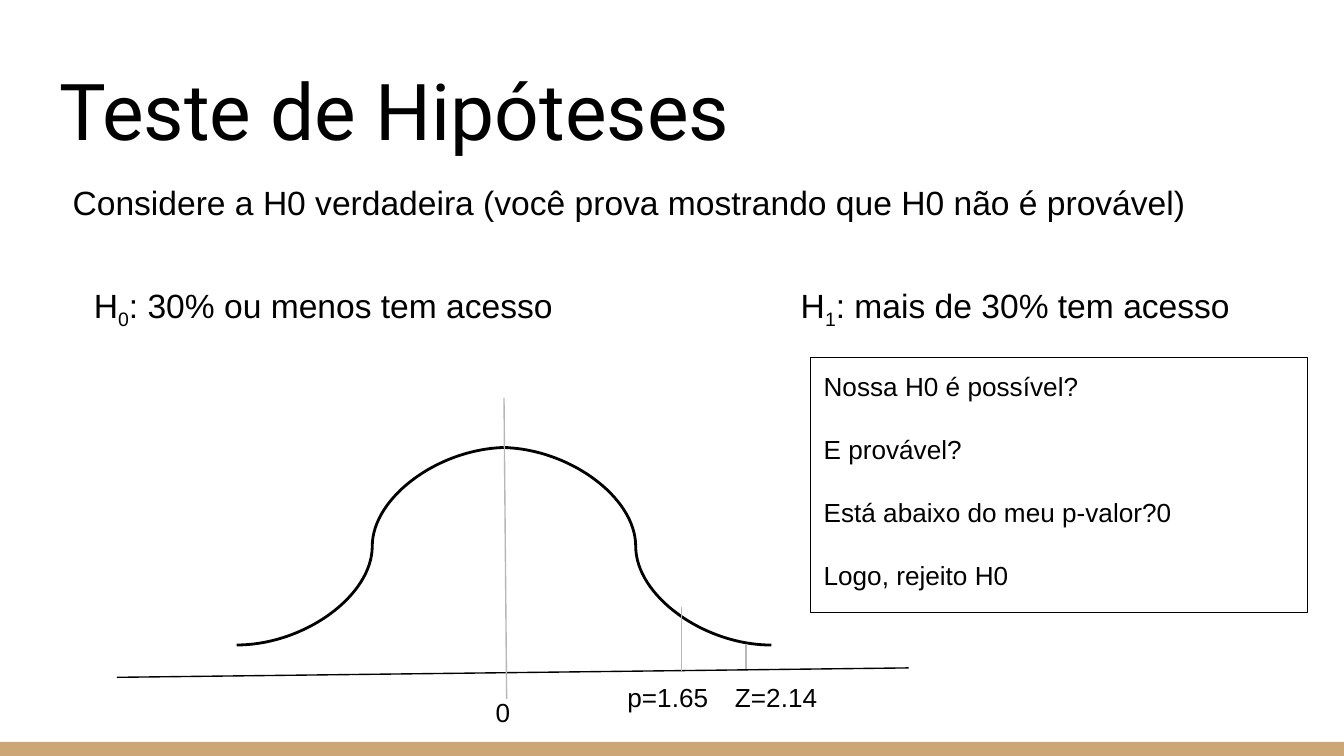
import pptx
import pptx.util
import pptx.dml.color
import pptx.enum.shapes
import pptx.enum.text
import pptx.oxml
import pptx.oxml.ns

Inches, Pt = pptx.util.Inches, pptx.util.Pt
LINK = pptx.enum.shapes.MSO_CONNECTOR
RECT = pptx.enum.shapes.MSO_SHAPE.RECTANGLE
ANCHOR = pptx.enum.text.MSO_ANCHOR
LEFT = pptx.enum.text.PP_ALIGN.LEFT
SPACE = pptx.oxml.ns.nsdecls("a")
COLORS = {"ink": "000000", "mark": "B7B7B7", "bar": "CCA677"}
FRAME = {
    "word_wrap": True,
    "auto_size": pptx.enum.text.MSO_AUTO_SIZE.NONE,
    **{"margin_" + side: Inches(0.1) for side in ("left", "top", "right", "bottom")},
}


def color(name):
    return pptx.dml.color.RGBColor.from_string(COLORS[name])


def apply(item, values):
    for name, value in values.items():
        setattr(item, name, value)


def place(shape, box):
    names = ("left", "top", "width", "height")
    apply(shape, dict(zip(names, map(Inches, box))))


def write(shape, lines, size, font="Arial", gap=0, anchor=ANCHOR.TOP):
    """Each line is a list of (text, is subscript) runs."""
    frame = shape.text_frame
    apply(frame, {**FRAME, "vertical_anchor": anchor})
    for i, line in enumerate(lines):
        para = frame.add_paragraph() if i else frame.paragraphs[0]
        apply(para, {"alignment": LEFT, "space_before": Pt(gap if i else 0)})
        for text, sub in line:
            run = para.add_run()
            run.text = text
            apply(run.font, {"size": Pt(size), "name": font})
            run.font.color.rgb = color("ink")
            if sub:
                run.font._element.set("baseline", "-25000")


def add_text(slide, box, line, size):
    shape = slide.shapes.add_textbox(*map(Inches, box))
    write(shape, [line], size)
    return shape


def add_line(slide, start, end, tone="ink", width=0.75, kind=LINK.STRAIGHT):
    line = slide.shapes.add_connector(kind, *map(Inches, start + end))
    line.line.color.rgb = color(tone)
    line.line.width = Pt(width)
    line._element.spPr.append(pptx.oxml.parse_xml(f"<a:effectLst {SPACE}/>"))


def add_bar(slide, box):
    bar = slide.shapes.add_shape(RECT, *map(Inches, box))
    bar.shadow.inherit = False
    bar.fill.solid()
    bar.fill.fore_color.rgb = color("bar")
    bar.line.fill.background()


def add_head(slide, box):
    x, y, w, h = box
    title, body = slide.placeholders
    place(title, (x, y, w, 0.91))
    write(title, [[("Teste de Hipóteses", False)]], 42, "Roboto", anchor=ANCHOR.BOTTOM)
    place(body, (x + 0.1, y + 0.9, 9.5, h - 0.9))
    write(body, [[("Considere a H0 verdadeira (você prova mostrando "
                   "que H0 não é provável)", False)]], 18)
    props = body.text_frame.paragraphs[0]._p.get_or_add_pPr()
    for name in ("marL", "indent"):
        props.set(name, "0")
    props.append(pptx.oxml.parse_xml(f"<a:buNone {SPACE}/>"))


def add_claims(slide, box):
    line = [("H", False), ("0", True), (": 30% ou menos tem acesso\t", False),
            ("H", False), ("1", True), (": mais de 30% tem acesso", False)]
    shape = add_text(slide, box, line, 18)
    # The second claim starts at a tab stop
    props = shape.text_frame.paragraphs[0]._p.get_or_add_pPr()
    props.append(pptx.oxml.parse_xml(
        f'<a:tabLst {SPACE}><a:tab pos="{Inches(5.26)}" algn="l"/></a:tabLst>'))


def add_curve(slide, box):
    x, y, w, h = box

    def at(dx, dy):
        return (x + dx, y + dy)

    # Bell made of two halves
    foot, peak = 1.84, 0.37
    for start, end in ((at(0.89, foot), at(2.91, peak)), (at(2.85, peak), at(4.87, foot))):
        add_line(slide, start, end, width=1.5, kind=LINK.CURVE)
    # Axis and marks
    add_line(slide, at(0, 2.08), at(w, 2.01))
    for start, end in ((at(2.88, 0), at(2.9, h)), (at(4.2, 1.56), at(4.2, 2.03)),
                       (at(4.68, 1.83), at(4.68, 2.02))):
        add_line(slide, start, end, "mark")
    # Labels
    for text, dx, dy, wide, high in (("0", 2.72, 2.12, 0.34, 0.39),
                                     ("p=1.65", 3.7, 2.01, 0.92, 0.32),
                                     ("Z=2.14", 4.5, 2.01, 0.92, 0.32)):
        add_text(slide, at(dx, dy) + (wide, high), [(text, False)], 14)


def add_steps(slide, box):
    panel = slide.shapes.add_shape(RECT, *map(Inches, box))
    panel.shadow.inherit = False
    panel.fill.background()
    panel.line.color.rgb = color("ink")
    panel.line.width = Pt(0.75)
    steps = ("Nossa H0 é possível?", "E provável?",
             "Está abaixo do meu p-valor?0", "Logo, rejeito H0")
    write(panel, [[(step, False)] for step in steps], 14, gap=16.8)


def main():
    deck = pptx.Presentation()
    wide = Inches(10)
    apply(deck, {"slide_width": wide, "slide_height": wide * 9 // 16})
    slide = deck.slides.add_slide(deck.slide_layouts[1])
    add_bar(slide, (0, 5.52, 10, 0.11))
    add_head(slide, (0.34, 0.35, 9.32, 1.51))
    add_claims(slide, (0.6, 2.02, 9.06, 0.54))
    add_curve(slide, (0.87, 2.96, 5.89, 2.24))
    add_steps(slide, (6.03, 2.66, 3.7, 1.9))
    deck.save("out.pptx")


if __name__ == "__main__":
    main()
